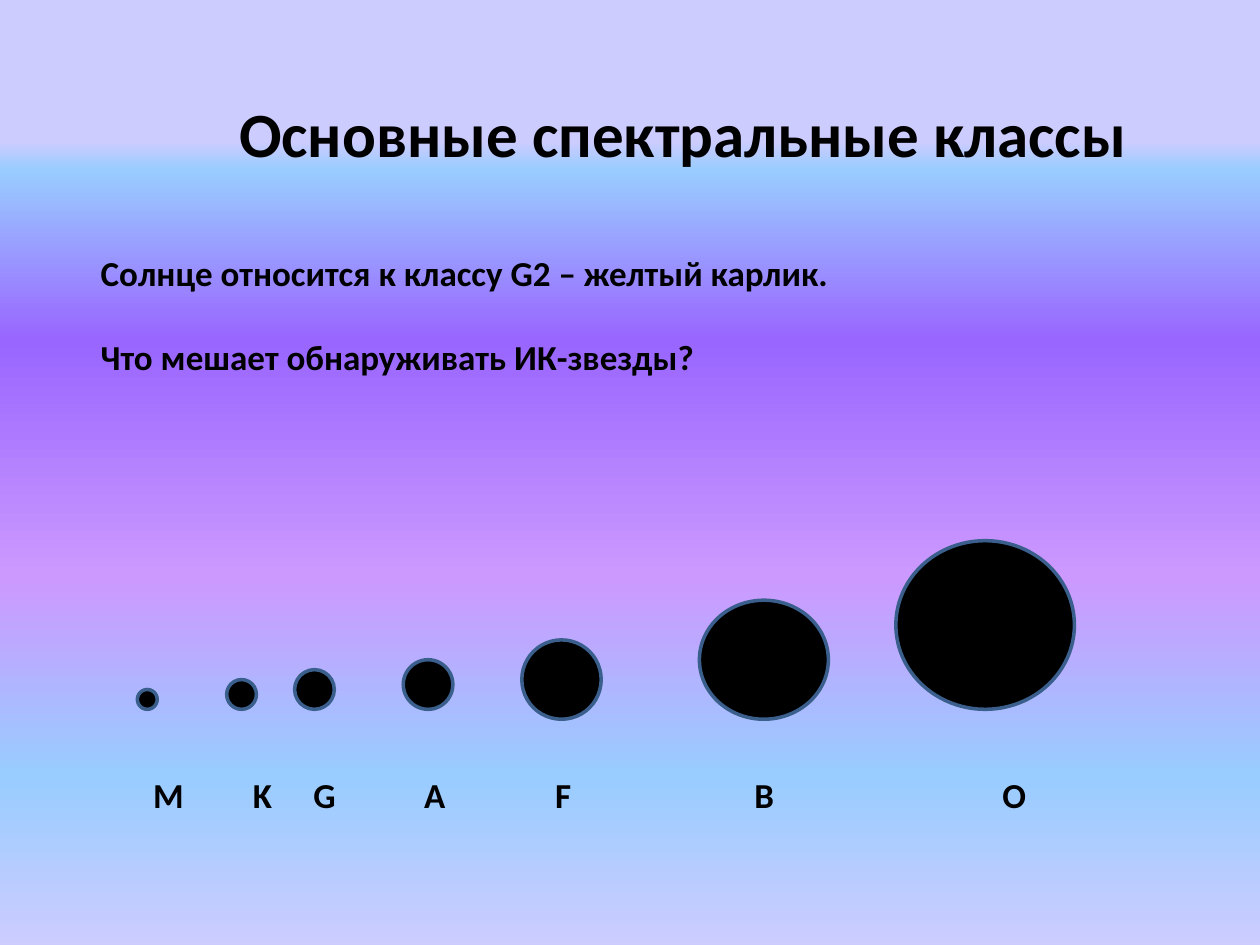
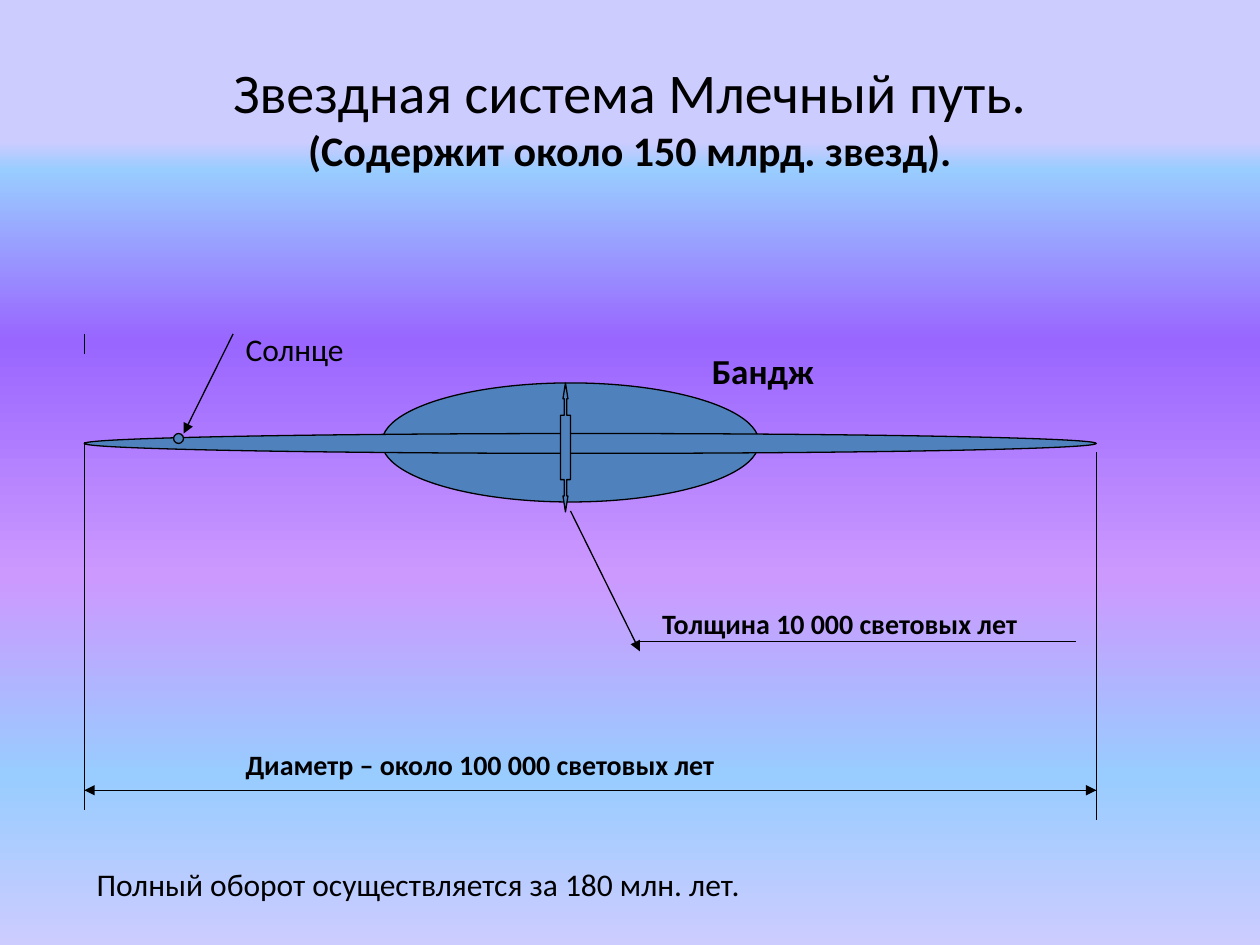
"""Build two slides on spectral classes of stars and the Milky Way."""
from dataclasses import dataclass

from lxml.etree import SubElement
from pptx import Presentation
from pptx.dml.color import RGBColor
from pptx.enum.shapes import MSO_CONNECTOR as CONN, MSO_SHAPE as SHAPE
from pptx.enum.text import MSO_ANCHOR as ANCHOR, PP_ALIGN as ALIGN
from pptx.oxml.ns import qn
from pptx.util import Cm, Pt


@dataclass(frozen=True)
class Theme:
    font: str = "Calibri"
    ink: str = "000000"
    star_edge: str = "3A5F8C"
    galaxy: str = "4F81BD"
    sky: tuple = ((15, "CCCCFF"), (18, "99CCFF"), (36, "9966FF"),
                  (61, "CC99FF"), (82, "99CCFF"), (100, "CCCCFF"))
    heading: int = 36
    title: int = 32
    subtitle: int = 24
    body: int = 20
    note: int = 18
    measure: int = 16
    thin: float = 0.75
    thick: float = 2


T = Theme()

CLASSES_TITLE = "Основные спектральные классы"
FACTS = ["Солнце относится к классу G2 – желтый карлик.",
         "Что мешает обнаруживать ИК-звезды?"]
# class, left, bottom, width, height, tab stop
STARS = [
    ("M", 2.77, 14.3, 0.4, 0.4, 1.27),
    ("K", 4.57, 14.3, 0.6, 0.6, 3.28),
    ("G", 5.94, 14.3, 0.8, 0.8, 4.5),
    ("А", 8.13, 14.3, 1.0, 1.0, 6.73),
    ("F", 10.52, 14.5, 1.6, 1.6, 9.37),
    ("B", 14.1, 14.5, 2.6, 2.4, 13.39),
    ("O", 18.06, 14.3, 3.6, 3.4, 18.39),
]

GALAXY_TITLE = "Звездная система Млечный путь."
GALAXY_SUBTITLE = "(Содержит около 150 млрд. звезд)."
GALAXY_LABELS = [
    ("Толщина 10 000 световых лет", (13.1, 12.1, 11.2, 1.96), T.measure, True),
    ("Диаметр – около 100 000 световых лет", (4.7, 14.94, 14.2, 1.96), T.measure, True),
    ("Солнце", (4.7, 6.53, 3.8, 1.02), T.note, False),
    ("Полный оборот осуществляется за 180 млн. лет.", (1.7, 17.32, 21, 1.02), T.note, False),
    ("Бандж", (14.1, 6.93, 4.57, 1.12), T.body, True),
]
LEFT, RIGHT, SPAN_Y, SHELF_Y = 1.7, 22.1, 15.93, 12.93
BULGE = (7.7, 7.72, 7.6, 2.4)
DISC = (LEFT, 8.74, RIGHT - LEFT, 0.4)
SUN = (3.5, 8.74, 0.2, 0.2)
THICKNESS = (11.3, 7.72, 0.2, 2.6)
LINES = [
    (12.9, SHELF_Y, 21.7, SHELF_Y),
    (LEFT, 6.73, LEFT, 7.14),
    (LEFT, 8.92, LEFT, 16.33),
    (RIGHT, 9.12, RIGHT, 16.54),
    (LEFT, SPAN_Y, RIGHT, SPAN_Y),
]
ARROWS = [
    (11.5, 10.3, 12.9, 13.13),
    (2.69, SPAN_Y, LEFT, SPAN_Y),
    (20.9, SPAN_Y, RIGHT, SPAN_Y),
    (4.7, 6.73, 3.7, 8.74),
]


def add_slide(prs):
    s = prs.slides.add_slide(prs.slide_layouts[6])
    fill = s.background.fill
    fill.gradient()
    fill.gradient_angle = 270
    stops = s._element.find(".//" + qn("a:gsLst"))
    for stop in list(stops):
        stops.remove(stop)
    for pos, color in T.sky:
        stop = SubElement(stops, qn("a:gs"), pos=str(pos * 1000))
        SubElement(stop, qn("a:srgbClr"), val=color)
    return s


def add_box(s, box):
    tf = s.shapes.add_textbox(*map(Cm, box)).text_frame
    tf.word_wrap = True
    return tf


def add_run(p, text, size, bold=True):
    r = p.add_run()
    r.text = text
    r.font.name = T.font
    r.font.size = Pt(size)
    r.font.bold = bold
    r.font.color.rgb = RGBColor.from_string(T.ink)


def add_figure(s, kind, box, fill, edge, width):
    sp = s.shapes.add_shape(kind, *map(Cm, box))
    sp.shadow.inherit = False
    sp.fill.solid()
    sp.fill.fore_color.rgb = RGBColor.from_string(fill)
    sp.line.color.rgb = RGBColor.from_string(edge)
    sp.line.width = Pt(width)
    return sp


def add_line(s, ends, arrow=False):
    ln = s.shapes.add_connector(CONN.STRAIGHT, *map(Cm, ends))
    ln.line.color.rgb = RGBColor.from_string(T.ink)
    ln.line.width = Pt(T.thin)
    if arrow:
        SubElement(ln.line._get_or_add_ln(), qn("a:tailEnd"), type="triangle")
    SubElement(ln._element.spPr, qn("a:effectLst"))


def build_classes(prs):
    s = add_slide(prs)
    for _, left, bottom, w, h, _ in STARS:
        add_figure(s, SHAPE.OVAL, (left, bottom - h, w, h), T.ink, T.star_edge, T.thick)

    p = add_box(s, (1.57, 15.47, 22.23, 1.12)).paragraphs[0]
    tabs = SubElement(p._p.get_or_add_pPr(), qn("a:tabLst"))
    for name, *_, tab in STARS:
        SubElement(tabs, qn("a:tab"), pos=str(Cm(tab)), algn="l")
        add_run(p, "\t" + name, T.body)

    p = add_box(s, (4.57, 1.78, 18.64, 1.8)).paragraphs[0]
    add_run(p, CLASSES_TITLE, T.heading)

    tf = add_box(s, (1.78, 4.95, 21.82, 2.82))
    for i, fact in enumerate(FACTS):
        p = tf.add_paragraph() if i else tf.paragraphs[0]
        if i:
            p.space_before = Pt(24)
        add_run(p, fact, T.body)


def build_galaxy(prs):
    s = add_slide(prs)
    tf = add_box(s, (1.27, 0.76, 22.86, 3.18))
    tf.vertical_anchor = ANCHOR.MIDDLE
    p = tf.paragraphs[0]
    p.alignment = ALIGN.CENTER
    add_run(p, GALAXY_TITLE, T.title, False)
    p.add_line_break()
    add_run(p, GALAXY_SUBTITLE, T.subtitle)

    for box in (BULGE, DISC):
        add_figure(s, SHAPE.OVAL, box, T.galaxy, T.ink, T.thin)
    sp = add_figure(s, SHAPE.UP_DOWN_ARROW_CALLOUT, THICKNESS, T.galaxy, T.ink, T.thin)
    for i, value in enumerate((0.25, 0.25, 1.6, 0.5)):
        sp.adjustments[i] = value
    for ends in LINES:
        add_line(s, ends)
    for ends in ARROWS:
        add_line(s, ends, arrow=True)
    add_figure(s, SHAPE.OVAL, SUN, T.galaxy, T.ink, T.thin)
    for text, box, size, bold in GALAXY_LABELS:
        add_run(add_box(s, box).paragraphs[0], text, size, bold)


def main():
    prs = Presentation()
    prs.slide_width, prs.slide_height = Cm(25.4), Cm(19.05)
    build_classes(prs)
    build_galaxy(prs)
    prs.save("out.pptx")


if __name__ == "__main__":
    main()
